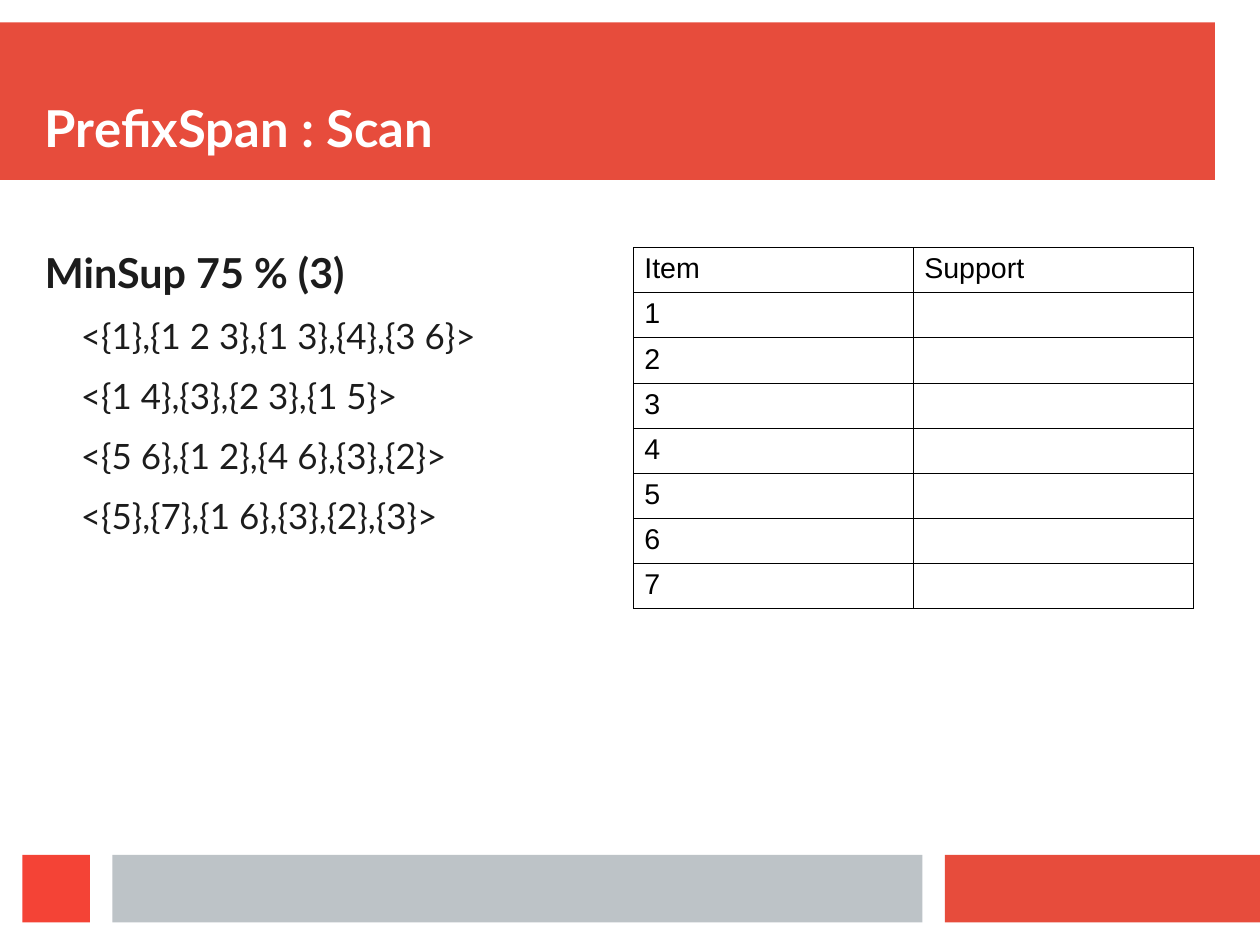
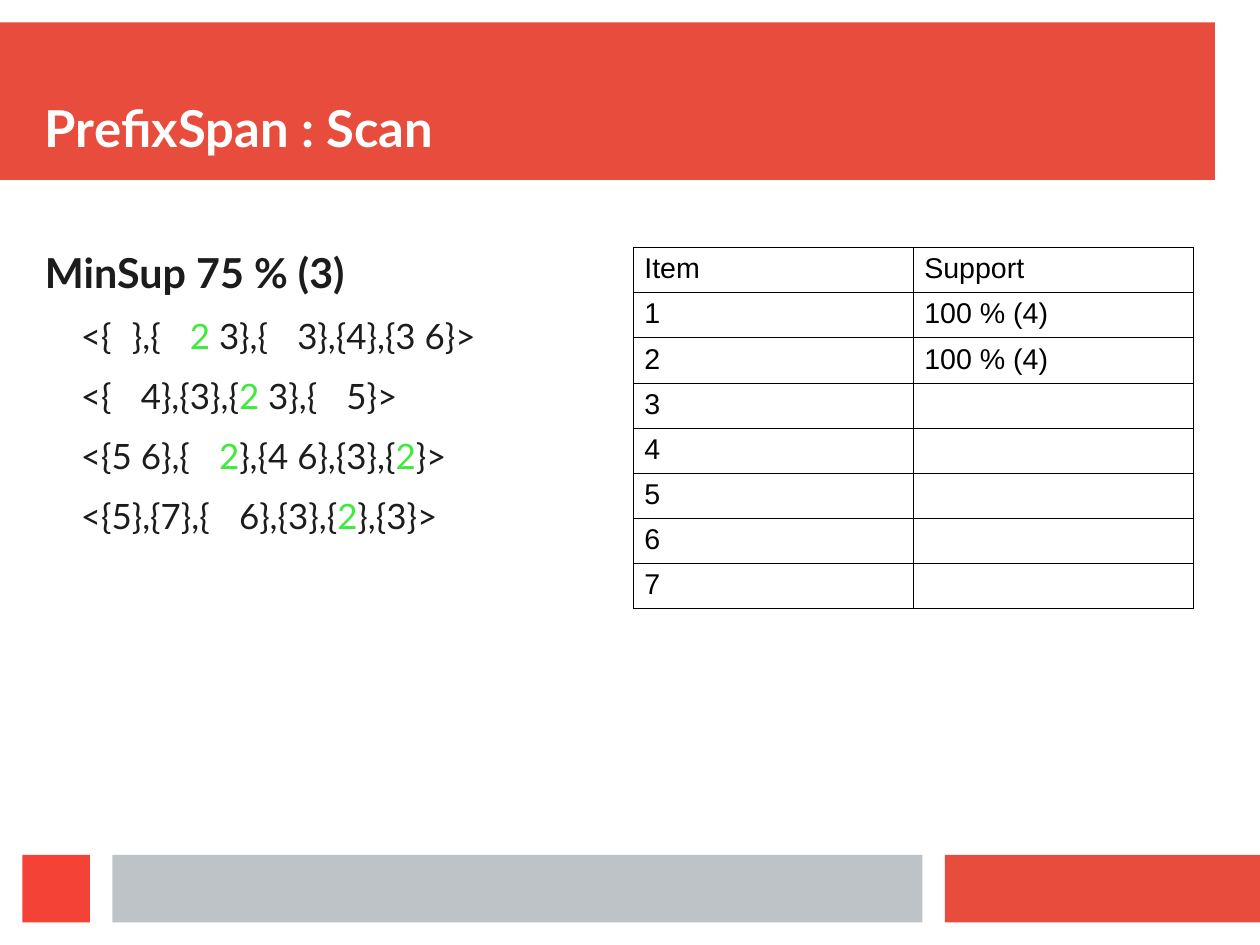
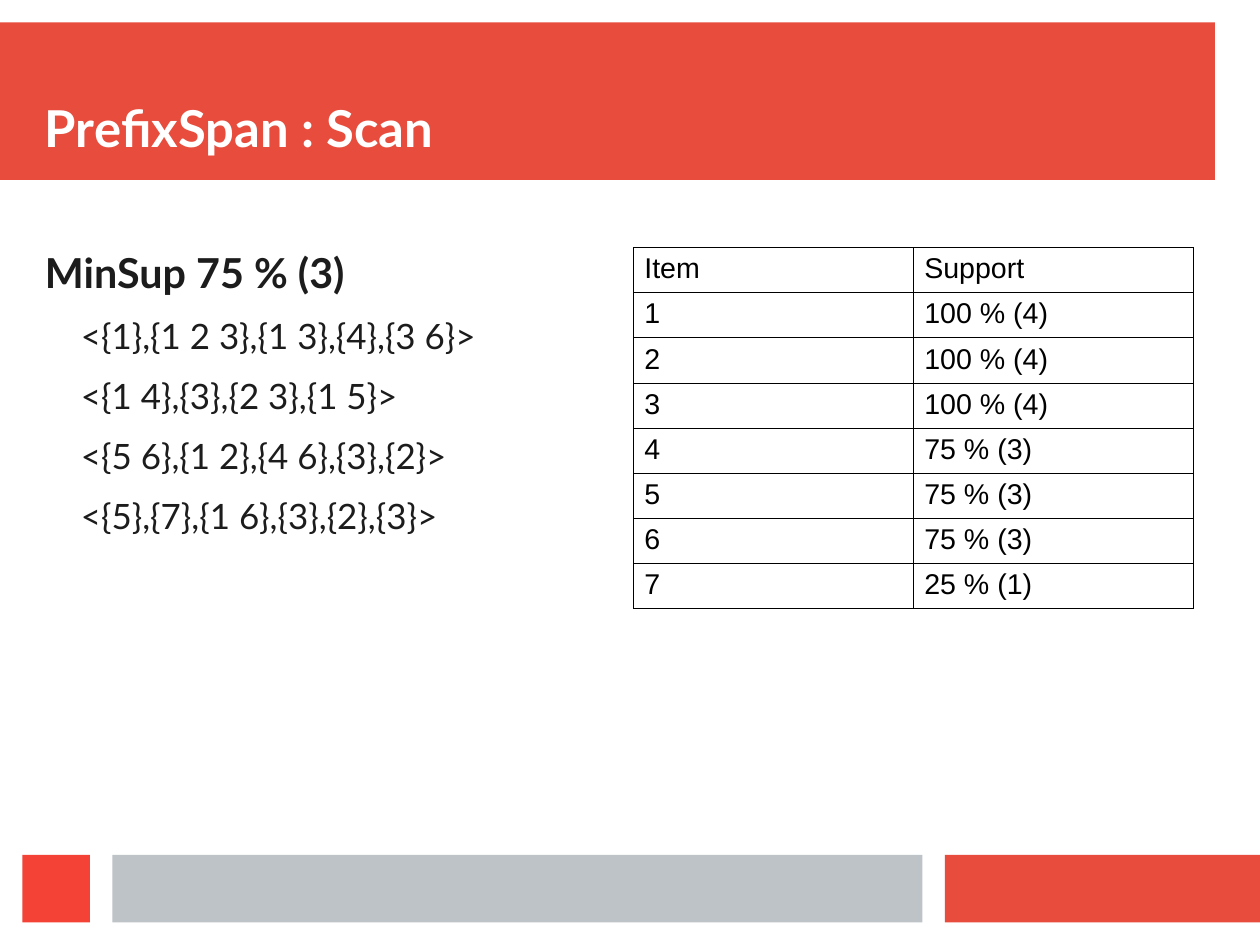
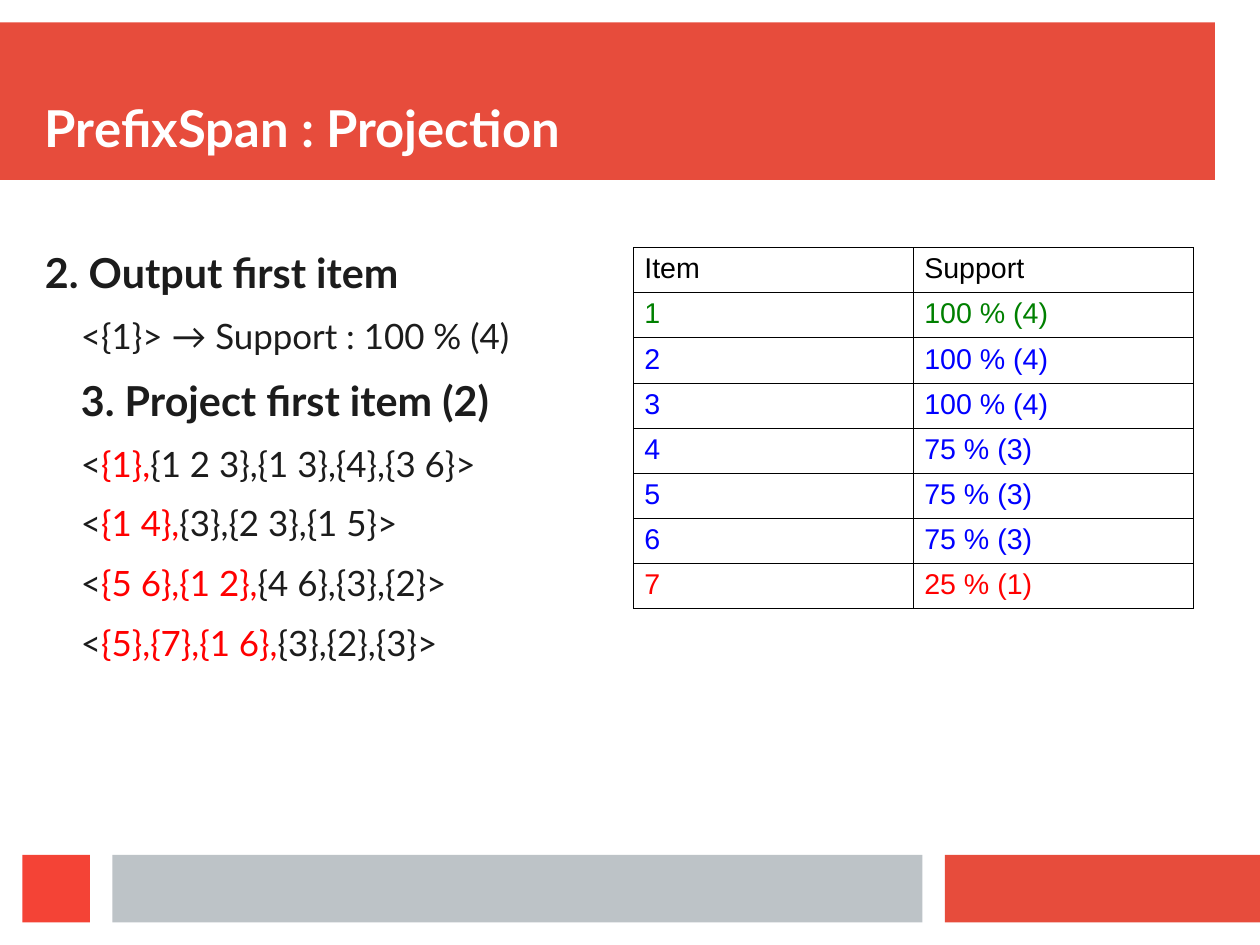
from dataclasses import dataclass
from itertools import groupby

from lxml import etree
from pptx import Presentation
from pptx.dml.color import RGBColor
from pptx.enum import shapes, text
from pptx.oxml import ns
from pptx.util import Emu, Pt

EMU_PER_PX = 7200


# Theme: colours, fonts and type sizes
@dataclass(frozen=True)
class Theme:
    band: str = "E74C3C"
    accent: str = "F44336"
    bar: str = "BDC3C7"
    paper: str = "FFFFFF"
    ink: str = "1C1C1C"
    black: str = "000000"
    match: str = "3DEB3D"
    projected: str = "FF0000"
    done: str = "008000"
    frequent: str = "0000FF"
    font: str = "Lato"
    table_font: str = "Arial"
    title_size: int = 32
    heading_size: int = 26
    body_size: int = 22
    table_size: int = 18
    space_after: float = 11.3
    border: float = 0.57


THEME = Theme()

# Content
SEQUENCES = [
    "<{1},{1 2 3},{1 3},{4},{3 6}>",
    "<{1 4},{3},{2 3},{1 5}>",
    "<{5 6},{1 2},{4 6},{3},{2}>",
    "<{5},{7},{1 6},{3},{2},{3}>",
]
SUPPORT_COUNTS = [4, 4, 4, 3, 3, 3, 1]
MIN_COUNT = 3


def px(value):
    return Emu(value * EMU_PER_PX)


def set_font(font, name, size, color, bold=False):
    font.name = name
    font.size = Pt(size)
    font.bold = bold
    font.color.rgb = RGBColor.from_string(color)


# Shared frame: title band, footer blocks and title
def add_block(slide, left, top, width, height, color):
    block = slide.shapes.add_shape(
        shapes.MSO_SHAPE.RECTANGLE, px(left), px(top), px(width), px(height))
    block.shadow.inherit = False
    block.fill.solid()
    block.fill.fore_color.rgb = RGBColor.from_string(color)
    block.line.fill.background()


def add_text_frame(slide, left, top, width, height, anchor):
    box = slide.shapes.add_textbox(px(left), px(top), px(width), px(height))
    frame = box.text_frame
    frame.word_wrap = True
    frame.vertical_anchor = anchor
    frame.margin_left = frame.margin_right = 0
    frame.margin_top = frame.margin_bottom = 0
    return frame


def add_framed_slide(presentation, title):
    slide = presentation.slides.add_slide(presentation.slide_layouts[6])
    add_block(slide, 0, 25, 1350, 175, THEME.band)
    for left, width, color in [(1050, 350, THEME.band), (125, 900, THEME.bar),
                               (25, 75, THEME.accent)]:
        add_block(slide, left, 950, width, 75, color)
    frame = add_text_frame(slide, 50, 50, 1300, 125, text.MSO_ANCHOR.BOTTOM)
    paragraph = frame.paragraphs[0]
    paragraph.text = title
    set_font(paragraph.font, THEME.font, THEME.title_size, THEME.paper, True)
    return slide


# Body lines: each is a list of (text, colour) pieces
def heading(words, indent=0):
    return [(words, THEME.ink)], THEME.heading_size, indent


def detail(pieces):
    return pieces, THEME.body_size, 40


def plain(words):
    return [(words, THEME.ink)]


def color_items(sequence, item_colors):
    def color_of(character):
        return item_colors.get(character, THEME.ink)
    return [("".join(group), color) for color, group in groupby(sequence, color_of)]


def color_prefix(sequence, item):
    """Mark everything up to the end of the first set that holds the item."""
    end = sequence.index("},", sequence.index(item)) + 2
    return [(sequence[:1], THEME.ink), (sequence[1:end], THEME.projected),
            (sequence[end:], THEME.ink)]


def add_body(slide, lines):
    frame = add_text_frame(slide, 50, 275, 622, 650, text.MSO_ANCHOR.TOP)
    for index, (pieces, size, indent) in enumerate(lines):
        paragraph = frame.add_paragraph() if index else frame.paragraphs[0]
        paragraph.space_after = Pt(THEME.space_after)
        set_font(paragraph.font, THEME.font, size, THEME.ink,
                 size == THEME.heading_size)
        properties = paragraph._p.get_or_add_pPr()
        properties.set("marL", str(px(indent)))
        properties.set("indent", "0")
        for words, color in pieces:
            run = paragraph.add_run()
            run.text = words
            if color != THEME.ink:
                run.font.color.rgb = RGBColor.from_string(color)


# Support table
def set_borders(cell):
    properties = cell._tc.get_or_add_tcPr()
    for position, side in enumerate(("lnL", "lnR", "lnT", "lnB")):
        line = etree.Element(ns.qn(f"a:{side}"), w=str(Pt(THEME.border)))
        fill = etree.SubElement(line, ns.qn("a:solidFill"))
        etree.SubElement(fill, ns.qn("a:srgbClr"), val=THEME.black)
        properties.insert(position, line)


def fill_cell(cell, words, color):
    cell.fill.background()
    cell.margin_left = cell.margin_right = px(12)
    cell.margin_top = cell.margin_bottom = px(6)
    paragraph = cell.text_frame.paragraphs[0]
    paragraph.text = words
    set_font(paragraph.font, THEME.table_font, THEME.table_size, color)
    set_borders(cell)


def status_color(item, count):
    if item == 1:
        return THEME.done
    return THEME.frequent if count >= MIN_COUNT else THEME.projected


def add_support_table(slide, known, colored=False):
    """Show the support of the first known items and leave the rest empty."""
    rows = [("Item", "Support", THEME.black)]
    for item, count in enumerate(SUPPORT_COUNTS, 1):
        support = f"{25 * count} % ({count})" if item <= known else ""
        color = status_color(item, count) if colored else THEME.black
        rows.append((str(item), support, color))
    table = slide.shapes.add_table(
        len(rows), 2, px(704), px(275), px(622), px(389)).table
    table.first_row = table.horz_banding = False
    for row, (item, support, color) in enumerate(rows):
        fill_cell(table.cell(row, 0), item, color)
        fill_cell(table.cell(row, 1), support, color)


# Slides
def add_scan_slide(presentation, known, item_colors):
    slide = add_framed_slide(presentation, "PrefixSpan : Scan")
    add_body(slide, [heading("MinSup 75 % (3)")] + [
        detail(color_items(sequence, item_colors)) for sequence in SEQUENCES])
    add_support_table(slide, known)


def add_projection_slide(presentation):
    slide = add_framed_slide(presentation, "PrefixSpan : Projection")
    add_body(slide, [
        heading("2. Output first item"),
        detail(plain("<{1}> → Support : 100 % (4)")),
        heading("3. Project first item (2)", indent=40),
    ] + [detail(color_prefix(sequence, "1")) for sequence in SEQUENCES])
    add_support_table(slide, len(SUPPORT_COUNTS), colored=True)


def main():
    presentation = Presentation()
    presentation.slide_width = px(1400)
    presentation.slide_height = px(1050)
    add_scan_slide(presentation, 0, {})
    add_scan_slide(presentation, 2, {"1": THEME.paper, "2": THEME.match})
    add_scan_slide(presentation, len(SUPPORT_COUNTS), {})
    add_projection_slide(presentation)
    presentation.save("out.pptx")


if __name__ == "__main__":
    main()
